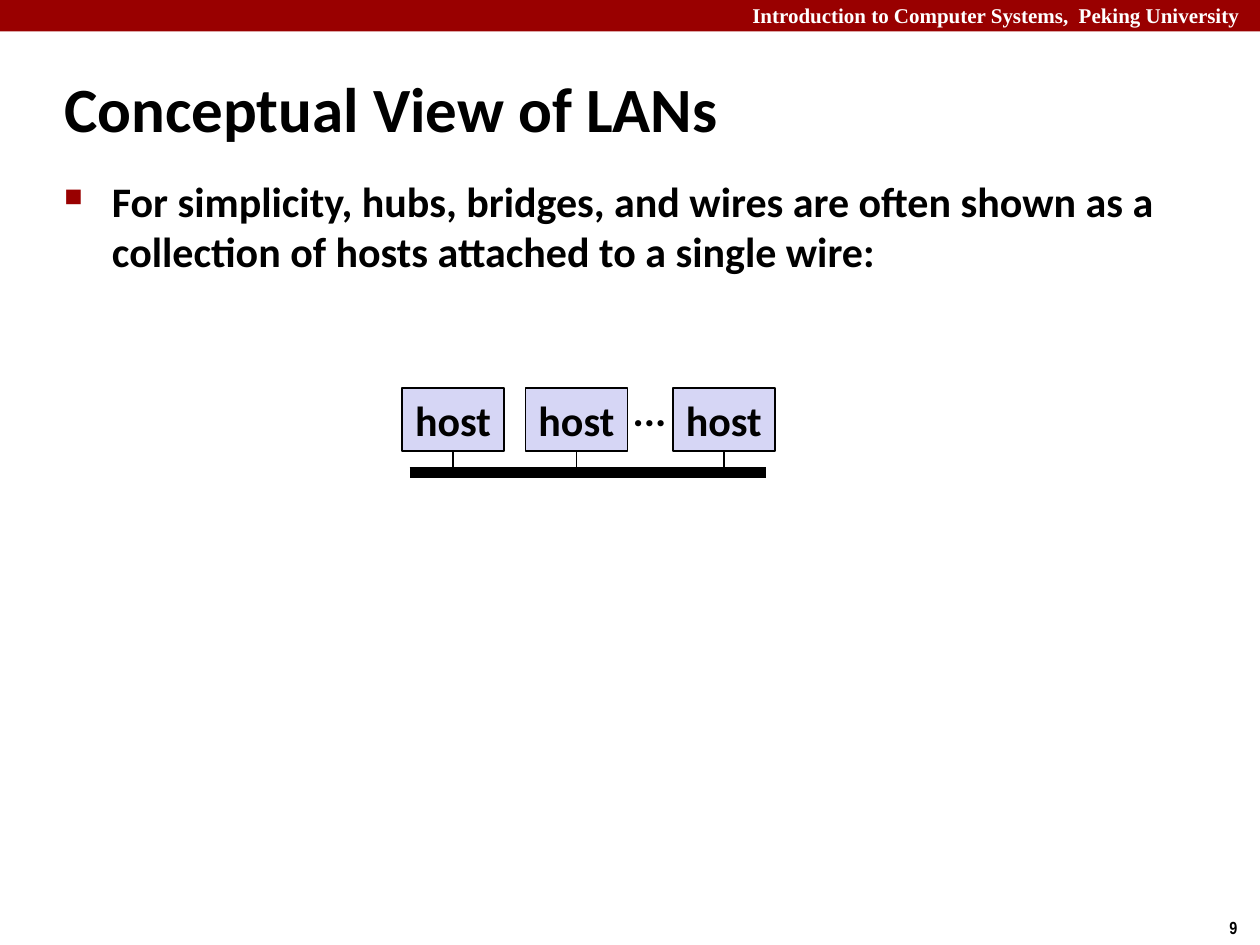
import dataclasses

import lxml.etree
import pptx
import pptx.dml.color
import pptx.enum.shapes
import pptx.enum.text
import pptx.oxml.ns
import pptx.util

Inches = pptx.util.Inches
RGBColor = pptx.dml.color.RGBColor
Align = pptx.enum.text.PP_ALIGN
Anchor = pptx.enum.text.MSO_ANCHOR

BLACK = RGBColor(0x00, 0x00, 0x00)
WHITE = RGBColor(0xFF, 0xFF, 0xFF)
DARK_RED = RGBColor(0x99, 0x00, 0x00)
LAVENDER = RGBColor(0xD6, 0xD6, 0xF5)

HOST_TOP, HOST_WIDTH, HOST_HEIGHT = 3.08, 0.81, 0.5
WIRE_Y = 3.75


@dataclasses.dataclass
class Box:
    left: float
    top: float
    width: float
    height: float


@dataclasses.dataclass
class TextStyle:
    size: float
    font: str = "Calibri"
    color: RGBColor = BLACK
    align: Align = Align.LEFT
    anchor: Anchor = Anchor.TOP
    wrap: bool = True


def place(box: Box) -> tuple:
    return tuple(Inches(value) for value in dataclasses.astuple(box))


def write(shape, text: str, style: TextStyle):
    """Fill a shape with one formatted paragraph and return the paragraph."""
    frame = shape.text_frame
    frame.text = text
    frame.word_wrap = style.wrap
    frame.vertical_anchor = style.anchor
    frame.auto_size = pptx.enum.text.MSO_AUTO_SIZE.NONE
    paragraph = frame.paragraphs[0]
    paragraph.alignment = style.align
    font_values = {"name": style.font, "size": pptx.util.Pt(style.size), "bold": True}
    for name, value in font_values.items():
        setattr(paragraph.runs[0].font, name, value)
    paragraph.runs[0].font.color.rgb = style.color
    return paragraph


def add_text(slide, box: Box, text: str, style: TextStyle):
    shape = slide.shapes.add_textbox(*place(box))
    return shape, write(shape, text, style)


def add_rectangle(slide, box: Box, fill: RGBColor):
    shape = slide.shapes.add_shape(pptx.enum.shapes.MSO_SHAPE.RECTANGLE, *place(box))
    shape.shadow.inherit = False
    shape.fill.solid()
    shape.fill.fore_color.rgb = fill
    shape.line.fill.background()
    return shape


def add_line(slide, start: tuple, end: tuple, width: float) -> None:
    connector = slide.shapes.add_connector(
        pptx.enum.shapes.MSO_CONNECTOR.STRAIGHT,
        *(Inches(value) for value in (*start, *end)),
    )
    connector.line.color.rgb = BLACK
    connector.line.width = pptx.util.Pt(width)
    properties = connector.element.spPr
    lxml.etree.SubElement(properties, pptx.oxml.ns.qn("a:effectLst"))


def add_bullet(paragraph, character: str, color: RGBColor, percent: int, indent: float) -> None:
    qn = pptx.oxml.ns.qn
    properties = paragraph._p.get_or_add_pPr()
    properties.set("marL", str(Inches(indent)))
    properties.set("indent", str(-Inches(indent)))
    bullet_color = lxml.etree.SubElement(properties, qn("a:buClr"))
    lxml.etree.SubElement(bullet_color, qn("a:srgbClr"), val=str(color))
    lxml.etree.SubElement(properties, qn("a:buSzPct"), val=str(percent * 1000))
    lxml.etree.SubElement(properties, qn("a:buChar"), char=character)


def add_host(slide, left: float) -> None:
    host = add_rectangle(slide, Box(left, HOST_TOP, HOST_WIDTH, HOST_HEIGHT), LAVENDER)
    host.line.color.rgb = BLACK
    host.line.width = pptx.util.Pt(1)
    write(host, "host", TextStyle(24, align=Align.CENTER, anchor=Anchor.MIDDLE, wrap=False))


def main() -> None:
    presentation = pptx.Presentation()
    presentation.slide_width = Inches(10)
    presentation.slide_height = Inches(7.5)
    slide = presentation.slides.add_slide(presentation.slide_layouts[5])

    # Header band and page number
    add_rectangle(slide, Box(0, 0, 10, 0.25), DARK_RED)
    header, _ = add_text(
        slide, Box(4.75, -0.03, 5.24, 0.3),
        "Introduction to Computer Systems,  Peking University",
        TextStyle(12, "Times New Roman", WHITE, Align.RIGHT),
    )
    header.text_frame.margin_right = Inches(0.15)
    add_text(slide, Box(9.66, 7.23, 0.34, 0.27), "9",
             TextStyle(10, "Arial Narrow", wrap=False))

    # Title
    title = slide.shapes.title
    title.left, title.top, title.width, title.height = place(Box(0.41, 0.54, 7.68, 0.63))
    write(title, "Conceptual View of LANs", TextStyle(36, anchor=Anchor.MIDDLE))

    # Bullet text
    _, paragraph = add_text(
        slide, Box(0.41, 1.34, 9.09, 0.9),
        "For simplicity, hubs, bridges, and wires are often shown as a "
        "collection of hosts attached to a single wire:",
        TextStyle(24),
    )
    add_bullet(paragraph, "■", DARK_RED, 60, 0.38)

    # Shared wire with a drop behind each host
    host_lefts = (3.19, 4.17, 5.34)
    add_line(slide, (3.25, WIRE_Y), (6.08, WIRE_Y), 6)
    for left in host_lefts:
        center = left + HOST_WIDTH / 2
        add_line(slide, (center, 3.42), (center, WIRE_Y), 1)
    for left in host_lefts:
        add_host(slide, left)
    add_text(slide, Box(4.92, 3, 0.47, 0.5), "...",
             TextStyle(24, align=Align.CENTER, anchor=Anchor.MIDDLE, wrap=False))

    presentation.save("out.pptx")


if __name__ == "__main__":
    main()
